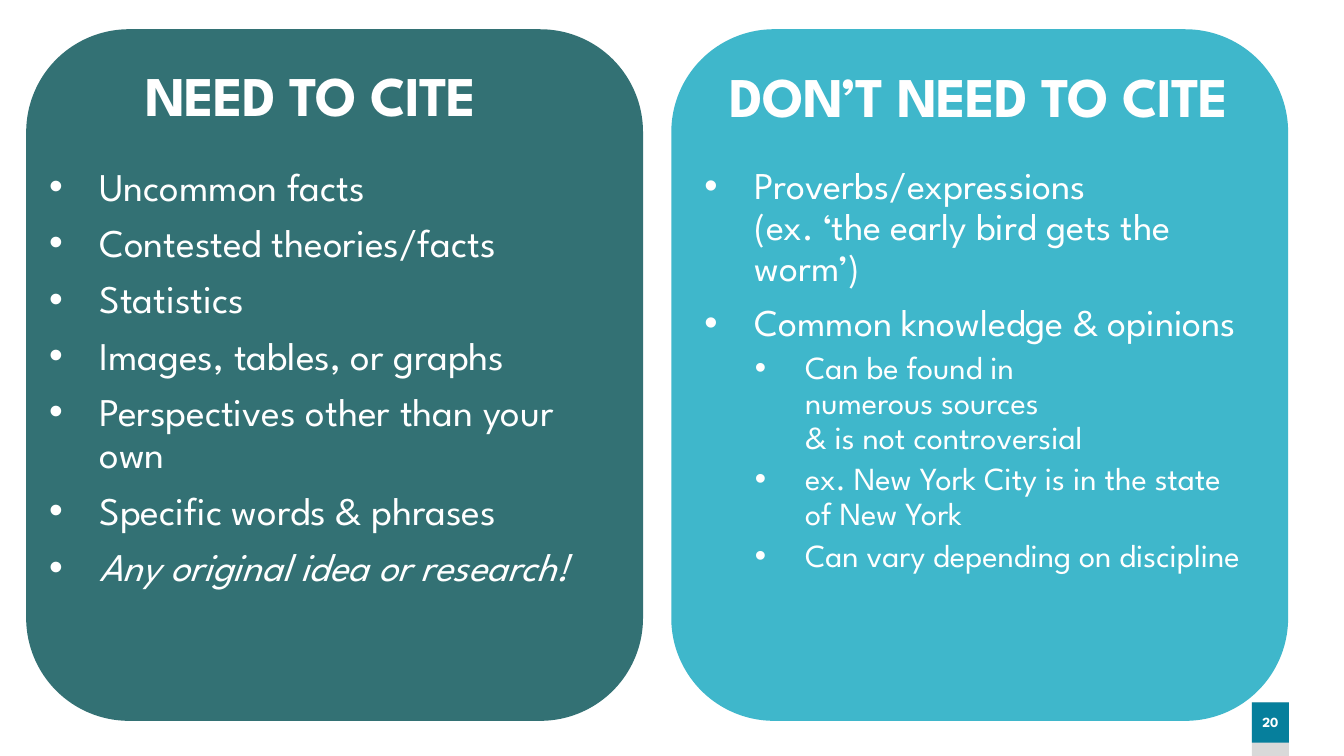
from lxml.etree import SubElement
from pptx import Presentation
from pptx.dml.color import RGBColor
from pptx.enum.shapes import MSO_SHAPE
from pptx.enum.text import MSO_ANCHOR, PP_ALIGN
from pptx.oxml.ns import qn
from pptx.util import Pt

COLOURS = {"need": "014E52", "skip": "0FA5BE", "badge": "067F9C",
           "tab": "D9D9D9", "text": "FFFFFF"}
FONT = "League Spartan"
PANEL_OPACITY = 80
INDENT = 36

NEED_ITEMS = [
    (0, "Uncommon facts"),
    (0, "Contested theories/facts"),
    (0, "Statistics"),
    (0, "Images, tables, or graphs"),
    (0, "Perspectives other than your own"),
    (0, "Specific words & phrases"),
    (0, "Any original idea or research!"),
]
SKIP_ITEMS = [
    (0, "Proverbs/expressions\n(ex. ‘the early bird gets the worm’)"),
    (0, "Common knowledge & opinions"),
    (1, "Can be found in \nnumerous sources \n& is not controversial"),
    (1, "ex. New York City is in the state of New York"),
    (1, "Can vary depending on discipline"),
]


def add_block(page, kind, box, colour):
    """Add a plain filled shape without outline or shadow."""
    block = page.shapes.add_shape(kind, *map(Pt, box))
    block.shadow.inherit = False
    block.fill.solid()
    block.fill.fore_color.rgb = RGBColor.from_string(COLOURS[colour])
    block.line.fill.background()
    return block


def add_text_box(page, box):
    """Add a wrapping text box and return its text frame."""
    frame = page.shapes.add_textbox(*map(Pt, box)).text_frame
    frame.word_wrap = True
    return frame


def style_paragraph(para, size, bold=False, italic=False):
    """Set the shared typeface, colour and line spacing on a paragraph."""
    para.line_spacing = 0.9
    font = para.font
    font.name, font.size = FONT, Pt(size)
    font.bold, font.italic = bold, italic
    font.color.rgb = RGBColor.from_string(COLOURS["text"])


def add_title(page, box, title):
    """Add a centred, slightly condensed panel heading."""
    para = add_text_box(page, box).paragraphs[0]
    para.text = title
    para.alignment = PP_ALIGN.CENTER
    style_paragraph(para, 40, bold=True)
    for span in para.runs:
        span._r.get_or_add_rPr().set("spc", "-60")


def add_bullets(page, box, items, sizes, emphasis=None):
    """Add a bulleted list whose text size depends on the level."""
    frame = add_text_box(page, box)
    for number, (level, text) in enumerate(items):
        para = frame.add_paragraph() if number else frame.paragraphs[0]
        para.text = text
        para.level = level
        para.space_before = Pt(5 if level else 10)
        properties = para._p.get_or_add_pPr()
        properties.set("marL", str(Pt(INDENT * (level + 1))))
        properties.set("indent", str(-Pt(INDENT)))
        SubElement(properties, qn("a:buFont"), typeface="Arial")
        SubElement(properties, qn("a:buChar"), char="•")
        style_paragraph(para, sizes[level], italic=text == emphasis)


def add_panel(page, box, colour, title, title_offset, items, list_offset,
              sizes, emphasis=None):
    """Add a rounded panel with its heading and list."""
    left, top, width, height = box
    panel = add_block(page, MSO_SHAPE.ROUNDED_RECTANGLE, box, colour)
    tint = panel.fill._xPr.find(qn("a:solidFill"))[0]
    SubElement(tint, qn("a:alpha"), val=str(PANEL_OPACITY * 1000))
    title_left, title_top = title_offset
    add_title(page, (left + title_left, top + title_top, 407, 47), title)
    list_box = (left + list_offset, top + 95, 407.5, 27)
    add_bullets(page, list_box, items, sizes, emphasis)


def add_page_number(page, box, number):
    """Add the page number badge over its grey tab."""
    left, top, width, height = box
    add_block(page, MSO_SHAPE.RECTANGLE, box, "tab")
    badge = add_block(page, MSO_SHAPE.RECTANGLE,
                      (left, top, width, height - 9.4), "badge")
    frame = badge.text_frame
    frame.margin_left = frame.margin_right = 0
    frame.vertical_anchor = MSO_ANCHOR.MIDDLE
    para = frame.paragraphs[0]
    para.text = number
    para.alignment = PP_ALIGN.CENTER
    para.space_before = Pt(10)
    style_paragraph(para, 10, bold=True)


def main():
    """Build the slide and save it."""
    deck = Presentation()
    deck.slide_width, deck.slide_height = Pt(960), Pt(540)
    page = deck.slides.add_slide(deck.slide_layouts[6])
    add_page_number(page, (894.2, 501.8, 26.6, 38.2), "20")
    add_panel(page, (18.7, 20.9, 440.6, 494), "need", "NEED TO CITE",
              (0, 24.5), NEED_ITEMS, 9.4, (28, 23), NEED_ITEMS[-1][1])
    add_panel(page, (479.5, 20.9, 440.6, 494), "skip", "DON’T NEED TO CITE",
              (16.6, 25.2), SKIP_ITEMS, 16.6, (27, 23))
    deck.save("out.pptx")


if __name__ == "__main__":
    main()
